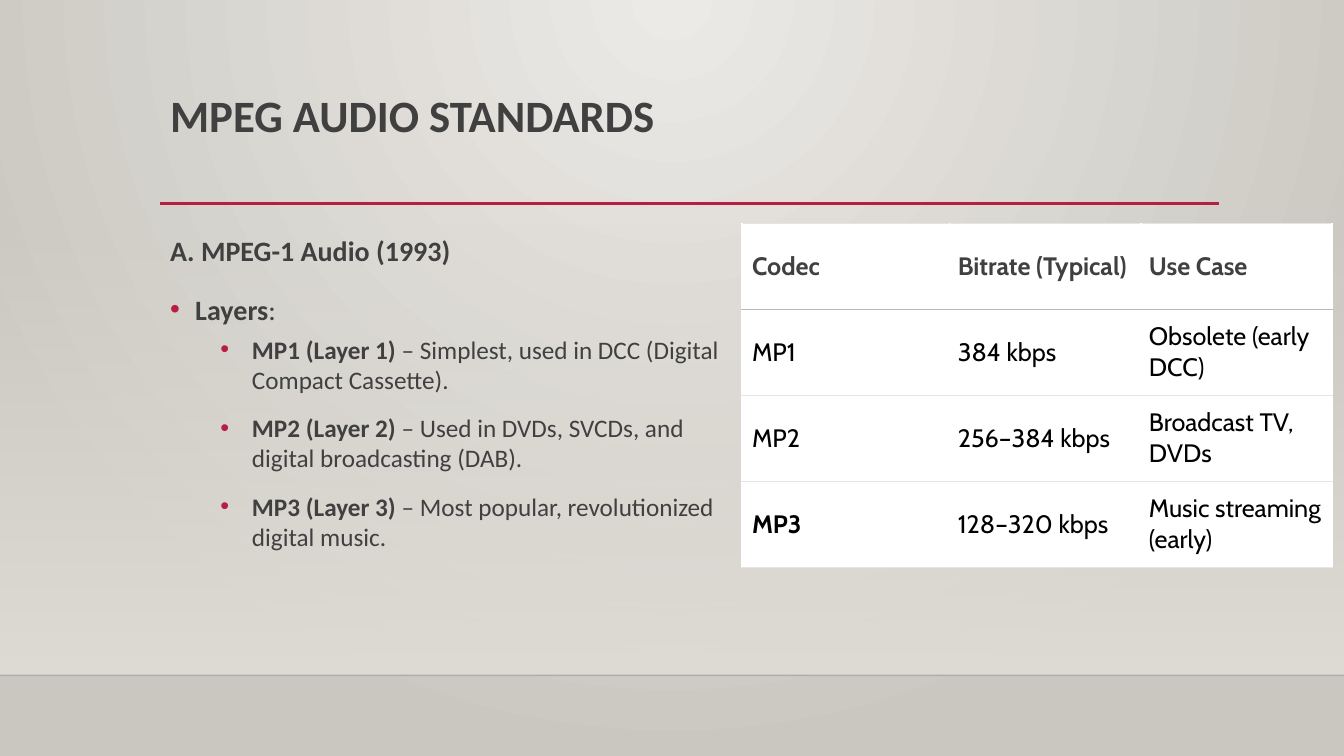
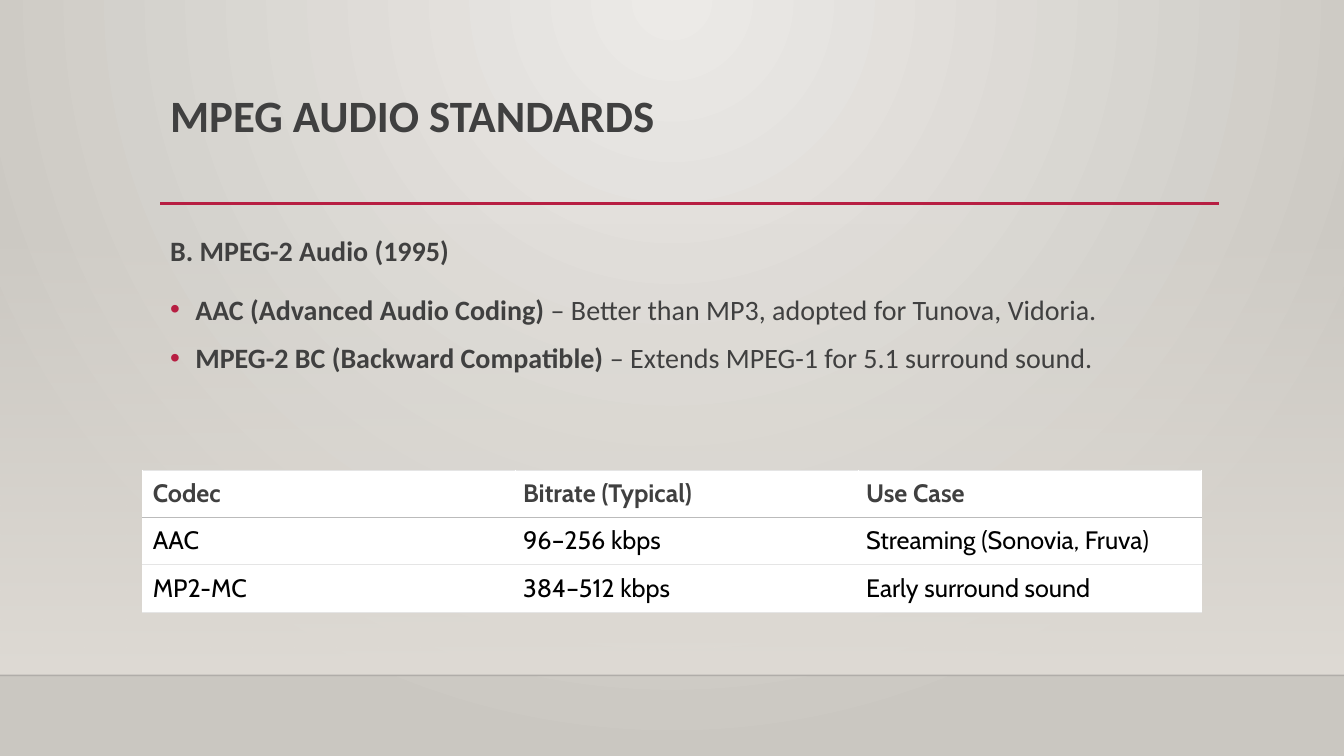
from lxml.etree import SubElement
from pptx import Presentation
from pptx.dml.color import RGBColor
from pptx.enum.shapes import MSO_CONNECTOR, MSO_SHAPE
from pptx.enum.text import MSO_ANCHOR
from pptx.oxml import parse_xml
from pptx.oxml.ns import nsdecls, qn
from pptx.util import Pt

# Content
TITLE = "MPEG AUDIO STANDARDS"
HEADER = ("Codec", "Bitrate (Typical)", "Use Case")

# Body lines: (style, bold part, plain part); table rows: one tuple per row
SLIDES = [
    {
        "body_size": (416, 271),
        "body": [
            ("heading", "A. MPEG-1 Audio (1993)", ""),
            ("group", "Layers", ":"),
            ("item", "MP1 (Layer 1)", " – Simplest, used in DCC (Digital Compact Cassette)."),
            ("item", "MP2 (Layer 2)", " – Used in DVDs, SVCDs, and digital broadcasting (DAB)."),
            ("item", "MP3 (Layer 3)", " – Most popular, revolutionized digital music."),
        ],
        "table_at": (530, 159.5),
        "columns": (148.5, 136.5, 136.5),
        "row_height": 61.4,
        "rows": [
            ("MP1", "384 kbps", "Obsolete (early DCC)"),
            ("MP2", "256–384 kbps", "Broadcast TV, DVDs"),
            ("MP3", "128–320 kbps", "Music streaming (early)"),
        ],
        "bold_cells": {"MP3"},
    },
    {
        "body_size": (696, 160),
        "body": [
            ("heading", "B. MPEG-2 Audio (1995)", ""),
            ("first_point", "AAC (Advanced Audio Coding)",
             " – Better than MP3, adopted for Tunova, Vidoria."),
            ("point", "MPEG-2 BC (Backward Compatible)",
             " – Extends MPEG-1 for 5.1 surround sound."),
        ],
        "table_at": (102, 335.7),
        "columns": (266, 245, 245),
        "row_height": 33.8,
        "rows": [
            ("AAC", "96–256 kbps", "Streaming (Sonovia, Fruva)"),
            ("MP2-MC", "384–512 kbps", "Early surround sound"),
        ],
        "bold_cells": set(),
    },
]

# Shared look
WIDTH, HEIGHT = 960, 540
LEFT, RIGHT = 114.4, 871
BAND_TOP, FLOOR = 159, 482.4
RULE_TOP = 145.4
COLORS = {
    "light": "ECEAE7", "dark": "CAC7C1", "band": "DFDBD5", "floor": "000001",
    "accent": "B71E42", "text": "404040", "cell_text": "000000", "cell": "FFFFFF",
    "header_line": "BBBBBB", "row_line": "E5E5E5",
}
BODY_FONT, TABLE_FONT = "Calibri", "Cabin"
BULLET_SPACING = Pt(21.4)

# Paragraph styles: size, indent, hanging, line spacing, space before and after, bullet
STYLES = {
    "heading": (20, 18, 18, 1.2, 0, 10.3, False),
    "group": (20, 18, 18, BULLET_SPACING, 10.3, 3, True),
    "first_point": (20, 18, 18, BULLET_SPACING, 10.3, 10.3, True),
    "point": (20, 18, 18, BULLET_SPACING, 3, 10.3, True),
    "item": (18, 58.5, 22.5, BULLET_SPACING, 3, 10.3, True),
}


def color(name):
    return RGBColor.from_string(COLORS[name])


def format_run(run, font_name, size, color_name, bold):
    run.font.name = font_name
    run.font.size = Pt(size)
    run.font.color.rgb = color(color_name)
    run.font.bold = bold


def add_alpha(parent, percent):
    for color_element in parent.iter(qn("a:srgbClr")):
        SubElement(color_element, qn("a:alpha"), val=str(percent * 1000))


def set_gradient(fill, *names):
    fill.gradient()
    for stop, name, position in zip(fill.gradient_stops, names, (0, 1)):
        stop.color.rgb = color(name)
        stop.position = position


def set_background(master):
    set_gradient(master.background.fill, "light", "dark")
    gradient = next(master.element.iter(qn("a:gradFill")))
    gradient.replace(gradient.find(qn("a:lin")), parse_xml(
        f'<a:path {nsdecls("a")} path="circle">'
        '<a:fillToRect l="43000" t="0" r="43000" b="100000"/></a:path>'))


def add_rule(slide, left, right, top, color_name, width):
    rule = slide.shapes.add_connector(
        MSO_CONNECTOR.STRAIGHT, Pt(left), Pt(top), Pt(right), Pt(top))
    rule.line.color.rgb = color(color_name)
    rule.line.width = Pt(width)
    SubElement(rule.element.spPr, qn("a:effectLst"))
    return rule


def add_backdrop(slide):
    band = slide.shapes.add_shape(
        MSO_SHAPE.RECTANGLE, 0, Pt(BAND_TOP), Pt(WIDTH), Pt(FLOOR - BAND_TOP))
    band.shadow.inherit = False
    band.line.fill.background()
    set_gradient(band.fill, "band", "band")
    band.fill.gradient_angle = 270
    add_alpha(next(band.element.iter(qn("a:gs"))), 0)
    floor = add_rule(slide, 0, WIDTH, FLOOR, "floor", 1)
    add_alpha(floor.element.spPr, 20)
    add_rule(slide, LEFT, RIGHT, RULE_TOP, "accent", 2.5)


def add_text_frame(slide, top, width, height):
    box = slide.shapes.add_textbox(Pt(LEFT), Pt(top), Pt(width), Pt(height))
    box.text_frame.word_wrap = True
    return box.text_frame


def add_title(slide):
    text_frame = add_text_frame(slide, 63.4, RIGHT - LEFT, 82)
    text_frame.text = TITLE
    paragraph = text_frame.paragraphs[0]
    paragraph.line_spacing = 0.9
    format_run(paragraph.runs[0], BODY_FONT, 32, "text", True)


def style_paragraph(paragraph, indent, hanging, spacing, before, after, bullet):
    properties = paragraph._p.get_or_add_pPr()
    properties.set("marL", str(Pt(indent)))
    properties.set("indent", str(-Pt(hanging)))
    if bullet:
        bullet_color = SubElement(properties, qn("a:buClr"))
        SubElement(bullet_color, qn("a:srgbClr"), val=COLORS["accent"])
        SubElement(properties, qn("a:buFont"), typeface="Arial")
        SubElement(properties, qn("a:buChar"), char="•")
    paragraph.line_spacing = spacing
    paragraph.space_before = Pt(before)
    paragraph.space_after = Pt(after)


def add_body(slide, lines, size):
    text_frame = add_text_frame(slide, 158.4, *size)
    for index, (style, bold_text, plain_text) in enumerate(lines):
        paragraph = text_frame.add_paragraph() if index else text_frame.paragraphs[0]
        font_size, *layout = STYLES[style]
        style_paragraph(paragraph, *layout)
        for text, bold in ((bold_text, True), (plain_text, False)):
            if text:
                run = paragraph.add_run()
                run.text = text
                format_run(run, BODY_FONT, font_size, "text", bold)


def set_borders(cell, top_color, bottom_color):
    borders = (("lnT", top_color), ("lnB", bottom_color))
    for index, (side, name) in enumerate(borders):
        cell._tc.get_or_add_tcPr().insert(index, parse_xml(
            f'<a:{side} {nsdecls("a")} w="{Pt(0.48)}"><a:solidFill>'
            f'<a:srgbClr val="{COLORS[name]}"/></a:solidFill></a:{side}>'))


def add_codec_table(slide, rows, position, columns, row_height, bold_cells):
    rows = [HEADER, *rows]
    left, top = position
    table = slide.shapes.add_table(
        len(rows), len(columns), Pt(left), Pt(top),
        Pt(sum(columns)), Pt(row_height * len(rows))).table
    table.horz_banding = False
    for column, width in zip(table.columns, columns):
        column.width = Pt(width)
    for row_index, texts in enumerate(rows):
        table.rows[row_index].height = Pt(row_height)
        is_header = row_index == 0
        for column_index, text in enumerate(texts):
            cell = table.cell(row_index, column_index)
            cell.text = text
            cell.vertical_anchor = MSO_ANCHOR.MIDDLE
            cell.margin_left = Pt(5.7 if column_index else 7.2)
            cell.margin_right = cell.margin_top = cell.margin_bottom = Pt(5.7)
            cell.fill.solid()
            cell.fill.fore_color.rgb = color("cell")
            set_borders(cell, "header_line" if row_index == 1 else "row_line",
                        "header_line" if is_header else "row_line")
            format_run(cell.text_frame.paragraphs[0].runs[0], TABLE_FONT, 18,
                       "text" if is_header else "cell_text",
                       is_header or text in bold_cells)


def main():
    presentation = Presentation()
    presentation.slide_width, presentation.slide_height = Pt(WIDTH), Pt(HEIGHT)
    set_background(presentation.slide_master)
    for content in SLIDES:
        slide = presentation.slides.add_slide(presentation.slide_layouts[6])
        add_backdrop(slide)
        add_title(slide)
        add_body(slide, content["body"], content["body_size"])
        add_codec_table(slide, content["rows"], content["table_at"], content["columns"],
                        content["row_height"], content["bold_cells"])
    presentation.save("out.pptx")


if __name__ == "__main__":
    main()
